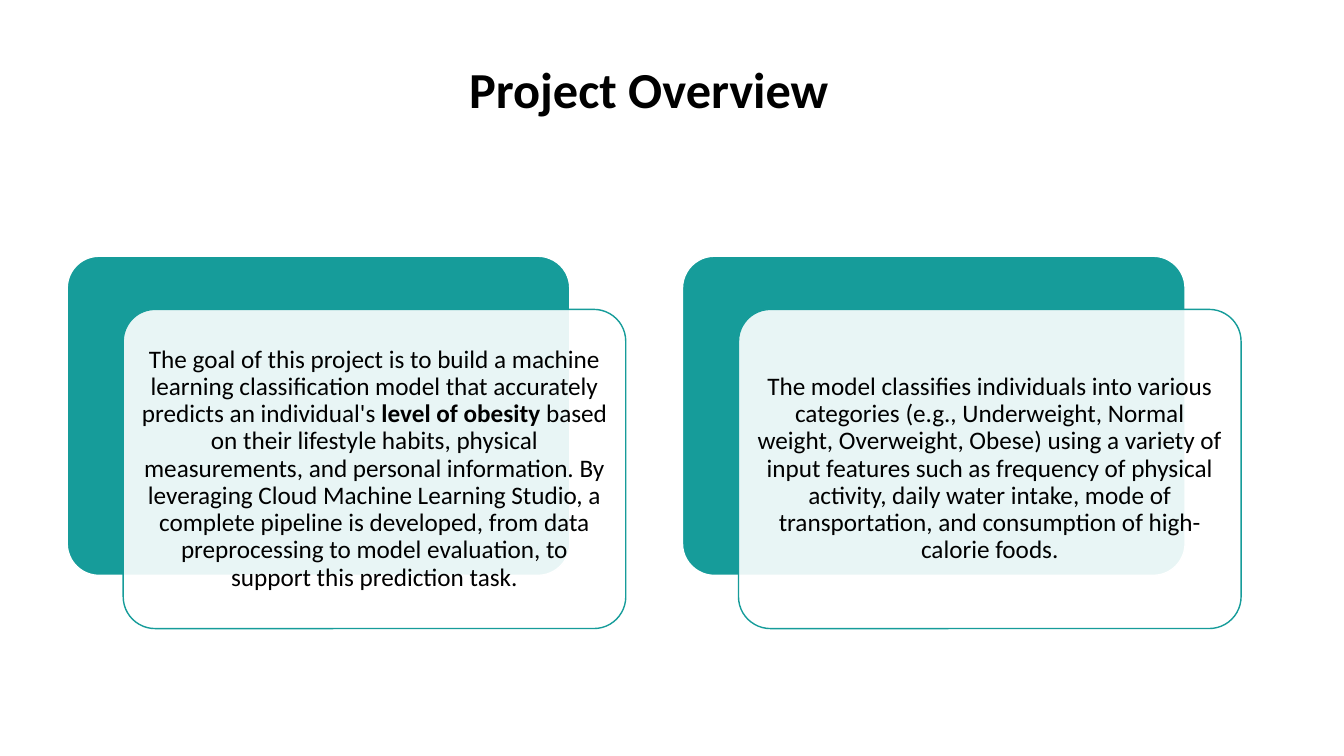
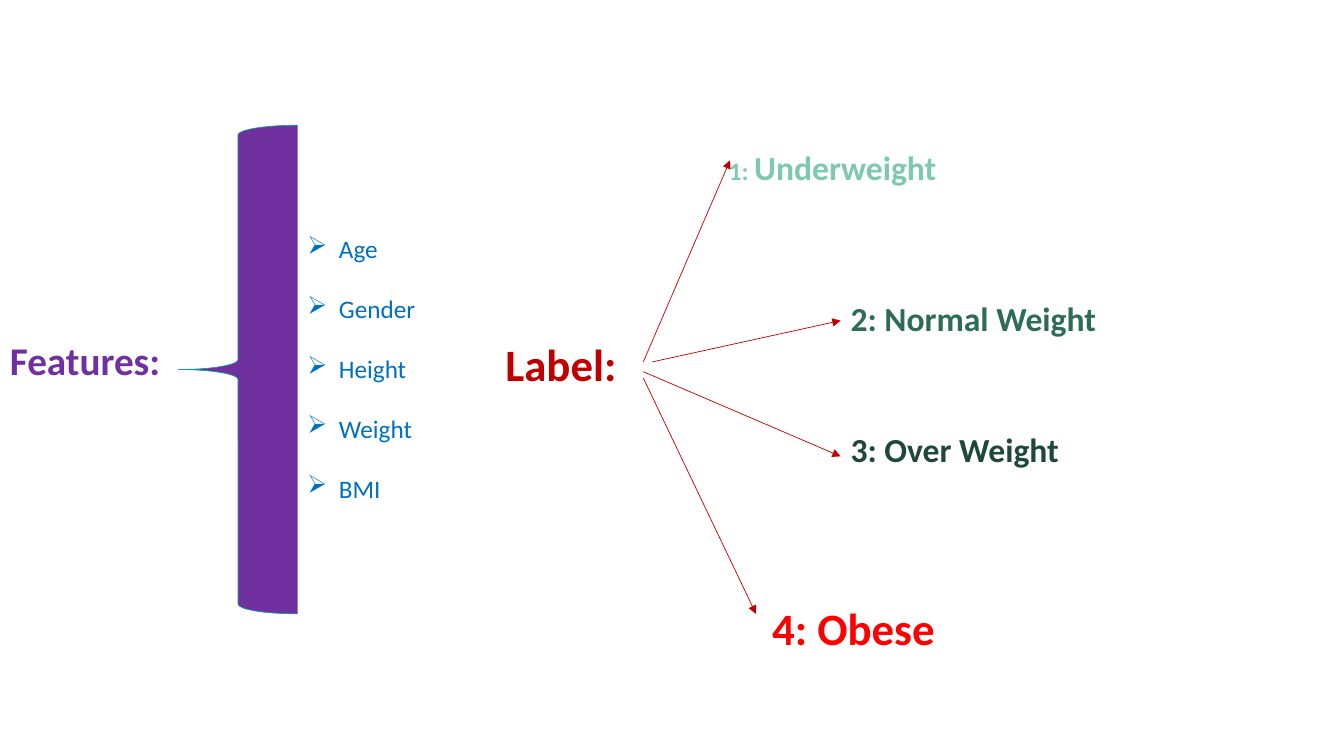
from lxml.etree import SubElement
from pptx import Presentation
from pptx.dml.color import RGBColor
from pptx.enum.shapes import MSO_CONNECTOR, MSO_SHAPE
from pptx.enum.text import MSO_ANCHOR, PP_ALIGN
from pptx.oxml.ns import qn
from pptx.util import Pt

FONT = "Calibri"
TEAL, WHITE, BLACK = "169C9A", "FFFFFF", "000000"
PURPLE, BLUE, DARK_RED = "7030A0", "0070C0", "C00000"

TITLE = "Project Overview "
CARDS = [
    [
        ("The goal of this project is to build a machine learning classification model "
         "that accurately predicts an individual's ", {}),
        ("level of obesity", {"bold": True}),
        (" based on their lifestyle habits, physical measurements, and personal information. "
         "By leveraging Cloud Machine Learning Studio, a complete pipeline is developed, from "
         "data preprocessing to model evaluation, to support this prediction task.", {}),
    ],
    [
        ("The model classifies individuals into various categories (e.g., Underweight, Normal "
         "weight, Overweight, Obese) using a variety of input features such as frequency of "
         "physical activity, daily water intake, mode of transportation, and consumption of "
         "high-calorie foods.", {}),
    ],
]
FEATURES = ["Age", "Gender", "Height", "Weight", "BMI"]
HEADINGS = [
    ("Features:", (0, 237, 287, 41), 28, PURPLE),
    ("Label:", (354, 237, 246, 46), 32, DARK_RED),
]
CLASSES = [
    ([("1: ", 18), ("Underweight", 24)], (513.5, 101.5, 246, 36), "7EC9AE"),
    ([("2: Normal Weight", 24)], (600.5, 209.5, 207, 65), "2E6C56"),
    ([("3: Over Weight", 24)], (600.5, 302.5, 232, 36), "1F4839"),
    ([("4: Obese", 32)], (544.5, 425.5, 244, 46), "FF0000"),
]
ARROWS = [
    ((459.5, 258.5), (521.5, 114.5)),
    ((466, 258.5), (600.5, 229)),
    ((459.5, 265.5), (600.5, 326)),
    ((459.5, 270), (540, 438.5)),
]

CARD_LEFT, CARD_TOP, CARD_WIDTH, CARD_HEIGHT = 48, 183, 359, 228
CARD_PITCH, FRONT_SHIFT_X, FRONT_SHIFT_Y = 439.5, 40, 38


def color(value):
    return RGBColor.from_string(value)


def add_text(paragraph, text, size=18, fill=BLACK, bold=False):
    run = paragraph.add_run()
    run.text = text
    font = run.font
    font.name, font.size, font.bold = FONT, Pt(size), bold
    font.color.rgb = color(fill)


def add_box(slide, bounds):
    box = slide.shapes.add_textbox(*map(Pt, bounds))
    box.text_frame.word_wrap = True
    return box.text_frame


def add_filled(slide, kind, bounds, fill, line, line_width=1, opacity=100):
    shape = slide.shapes.add_shape(kind, *map(Pt, bounds))
    shape.shadow.inherit = False
    shape.fill.solid()
    shape.fill.fore_color.rgb = color(fill)
    shape.line.color.rgb = color(line)
    shape.line.width = Pt(line_width)
    if opacity < 100:
        fill_color = shape.fill._xPr.find(qn("a:solidFill"))[0]
        SubElement(fill_color, qn("a:alpha"), val=str(opacity * 1000))
    return shape


def add_card(slide, left, runs):
    size = (CARD_WIDTH, CARD_HEIGHT)
    back = add_filled(slide, MSO_SHAPE.ROUNDED_RECTANGLE, (left, CARD_TOP, *size), TEAL, WHITE)
    front_bounds = (left + FRONT_SHIFT_X, CARD_TOP + FRONT_SHIFT_Y, *size)
    front = add_filled(slide, MSO_SHAPE.ROUNDED_RECTANGLE, front_bounds, WHITE, TEAL, opacity=90)
    for shape in (back, front):
        shape.adjustments[0] = 0.1
    frame = front.text_frame
    frame.word_wrap = True
    frame.vertical_anchor = MSO_ANCHOR.MIDDLE
    frame.margin_left = frame.margin_right = frame.margin_top = frame.margin_bottom = Pt(5)
    paragraph = frame.paragraphs[0]
    paragraph.alignment = PP_ALIGN.CENTER
    paragraph.line_spacing = 0.9
    for text, style in runs:
        add_text(paragraph, text, **style)


def add_bullets(slide, bounds, items):
    frame = add_box(slide, bounds)
    for index, item in enumerate(items):
        paragraph = frame.add_paragraph() if index else frame.paragraphs[0]
        properties = paragraph._p.get_or_add_pPr()
        properties.set("marL", str(Pt(22.5)))
        properties.set("indent", str(-Pt(22.5)))
        SubElement(properties, qn("a:buChar"), char="➢")
        if index:
            paragraph.space_before = Pt(21.2)
        add_text(paragraph, item, fill=BLUE)


def add_arrow(slide, start, end):
    connector = slide.shapes.add_connector(MSO_CONNECTOR.STRAIGHT, *map(Pt, start + end))
    connector.line.color.rgb = color(DARK_RED)
    connector.line.width = Pt(0.5)
    SubElement(connector.line._get_or_add_ln(), qn("a:tailEnd"), type="triangle")
    SubElement(connector._element.spPr, qn("a:effectLst"))


def build_overview(presentation):
    slide = presentation.slides.add_slide(presentation.slide_layouts[5])
    title = slide.shapes.title
    title.left, title.top, title.width, title.height = map(Pt, (48, 43, 839, 89))
    title.text_frame.vertical_anchor = MSO_ANCHOR.TOP
    paragraph = title.text_frame.paragraphs[0]
    paragraph.alignment = PP_ALIGN.CENTER
    paragraph.line_spacing = 0.9
    add_text(paragraph, TITLE, size=36, bold=True)
    for index, runs in enumerate(CARDS):
        add_card(slide, CARD_LEFT + index * CARD_PITCH, runs)


def build_features(presentation):
    slide = presentation.slides.add_slide(presentation.slide_layouts[6])
    add_filled(slide, MSO_SHAPE.LEFT_BRACE, (127.5, 89.5, 85, 349), PURPLE, TEAL, line_width=0.5)
    add_bullets(slide, (212.5, 163, 121, 247), FEATURES)
    for text, bounds, size, fill in HEADINGS:
        add_text(add_box(slide, bounds).paragraphs[0], text, size=size, fill=fill, bold=True)
    for start, end in ARROWS:
        add_arrow(slide, start, end)
    for runs, bounds, fill in CLASSES:
        paragraph = add_box(slide, bounds).paragraphs[0]
        for text, size in runs:
            add_text(paragraph, text, size=size, fill=fill, bold=True)


def main():
    presentation = Presentation()
    presentation.slide_width, presentation.slide_height = Pt(960), Pt(540)
    build_overview(presentation)
    build_features(presentation)
    presentation.save("out.pptx")


if __name__ == "__main__":
    main()
